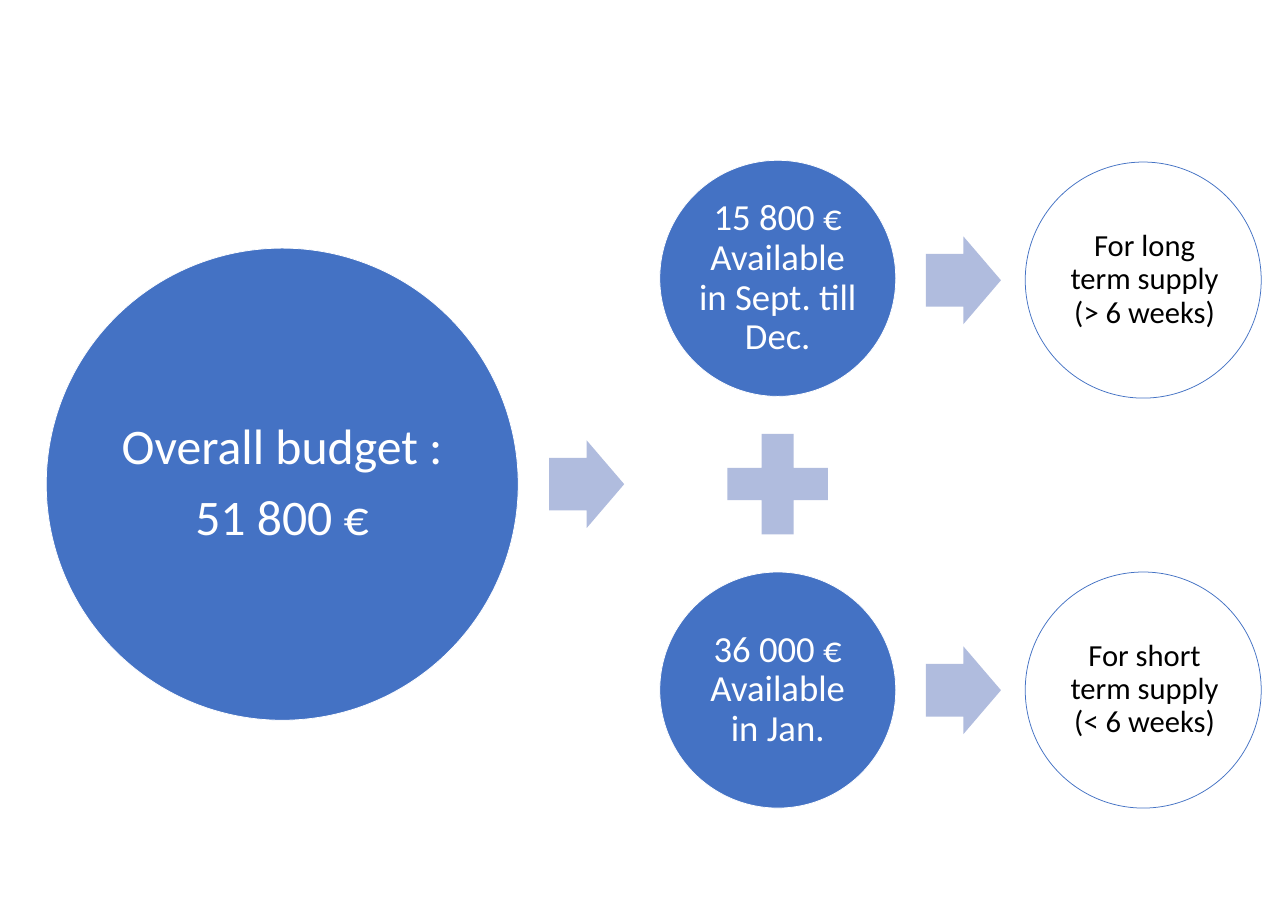
from dataclasses import dataclass

from pptx import Presentation
from pptx.dml.color import RGBColor
from pptx.enum.shapes import MSO_SHAPE
from pptx.enum.text import MSO_ANCHOR, PP_ALIGN
from pptx.shapes.autoshape import Shape
from pptx.shapes.shapetree import SlideShapes
from pptx.util import Emu, Pt

BLUE = RGBColor(0x44, 0x72, 0xC4)
PALE = RGBColor(0xB0, 0xBC, 0xDE)
WHITE = RGBColor(0xFF, 0xFF, 0xFF)
BLACK = RGBColor(0x00, 0x00, 0x00)
FONT = "Calibri"
SCALE = 3175
SMALL = 1234
INSET = 20


@dataclass(frozen=True)
class Circle:
    left: int
    top: int
    size: int
    fill: RGBColor
    line: RGBColor
    ink: RGBColor
    points: int
    inset: int
    indent: int
    text: tuple[str, ...]


@dataclass(frozen=True)
class Sign:
    kind: MSO_SHAPE
    left: int
    top: int
    width: int
    height: int


def px(count: int) -> Emu:
    return Emu(count * SCALE)


def arrow(left: int, top: int) -> Sign:
    return Sign(MSO_SHAPE.RIGHT_ARROW, left, top, 392, 458)


def amount(top: int, text: str) -> Circle:
    return Circle(3450, top, SMALL, BLUE, WHITE, WHITE, 48, INSET, 0, (text,))


def purpose(top: int, text: str) -> Circle:
    return Circle(5361, top, SMALL, WHITE, BLUE, BLACK, 40, INSET, 14, (text,))


def add_plain(shapes: SlideShapes, kind: MSO_SHAPE, left: int, top: int,
              width: int, height: int, fill: RGBColor) -> Shape:
    shape = shapes.add_shape(kind, px(left), px(top), px(width), px(height))
    shape.shadow.inherit = False
    shape.fill.solid()
    shape.fill.fore_color.rgb = fill
    return shape


def add_sign(shapes: SlideShapes, sign: Sign) -> None:
    shape = add_plain(shapes, sign.kind, sign.left, sign.top,
                      sign.width, sign.height, PALE)
    shape.line.fill.background()
    if sign.kind == MSO_SHAPE.RIGHT_ARROW:
        shape.adjustments[0] = 0.6
        shape.adjustments[1] = 0.5


def add_circle(shapes: SlideShapes, circle: Circle) -> None:
    shape = add_plain(shapes, MSO_SHAPE.OVAL, circle.left, circle.top,
                      circle.size, circle.size, circle.fill)
    shape.line.color.rgb = circle.line
    shape.line.width = Pt(1)
    frame = shape.text_frame
    frame.word_wrap = True
    frame.vertical_anchor = MSO_ANCHOR.MIDDLE
    frame.margin_left = px(circle.inset + circle.indent)
    frame.margin_right = px(circle.inset)
    frame.margin_top = frame.margin_bottom = px(circle.inset)
    for index, text in enumerate(circle.text):
        para = frame.add_paragraph() if index else frame.paragraphs[0]
        para.alignment = PP_ALIGN.CENTER
        para.line_spacing = 0.9
        para.space_after = Pt(circle.points * 0.35)
        for row, line in enumerate(text.split("\n")):
            if row:
                para.add_line_break()
            run = para.add_run()
            run.text = line
            run.font.name = FONT
            run.font.size = Pt(circle.points)
            run.font.color.rgb = circle.ink


CIRCLES = (
    amount(838, "15 800 €\nAvailable in Sept. till Dec."),
    amount(2990, "36 000 €\nAvailable in Jan."),
    Circle(242, 1297, 2 * SMALL, BLUE, WHITE, WHITE, 65, 26, 0,
           ("Overall budget :", "51 800 €")),
    purpose(847, "For long term supply (> 6 weeks)"),
    purpose(2990, "For short term supply (< 6 weeks)"),
)

SIGNS = (
    Sign(MSO_SHAPE.MATH_PLUS, 3709, 2173, 715, 715),
    arrow(2872, 2302),
    arrow(4842, 1236),
    arrow(4842, 3379),
)


def main() -> None:
    deck = Presentation()
    deck.slide_width = px(6735)
    deck.slide_height = px(4762)
    slide = deck.slides.add_slide(deck.slide_layouts[6])
    for circle in CIRCLES:
        add_circle(slide.shapes, circle)
    for sign in SIGNS:
        add_sign(slide.shapes, sign)
    deck.save("out.pptx")


if __name__ == "__main__":
    main()
